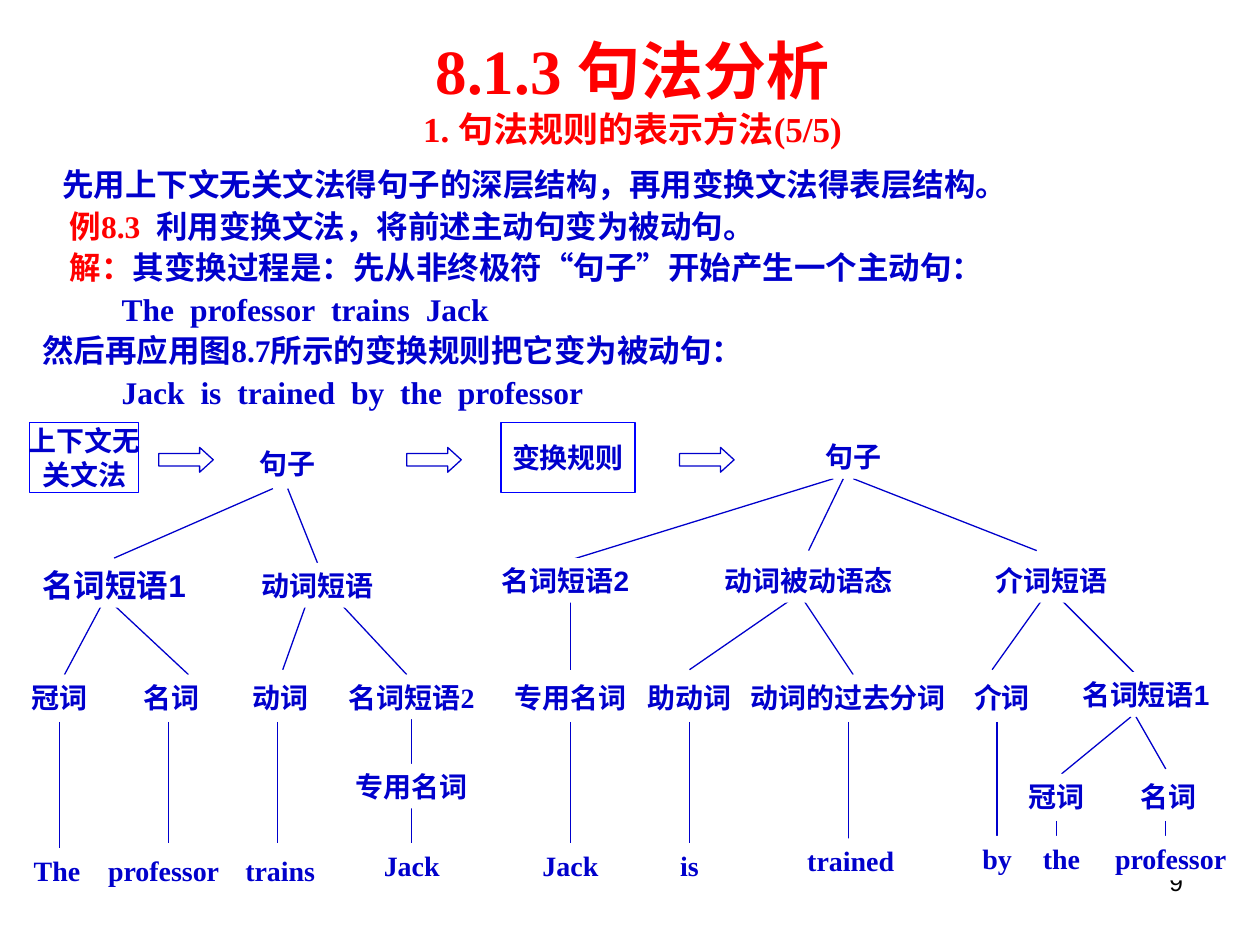
from lxml.etree import SubElement
from pptx import Presentation
from pptx.dml.color import RGBColor
from pptx.enum.shapes import MSO_CONNECTOR, MSO_SHAPE
from pptx.enum.text import MSO_ANCHOR, MSO_AUTO_SIZE, PP_ALIGN
from pptx.oxml.ns import qn
from pptx.util import Inches, Pt

WIDE, HIGH = Inches(10), Inches(7.5)
CELL = WIDE / 254  # the grid has 254 columns of square cells
HUE = {"ink": "0000CC", "red": "FF0000", "edge": "0000FF",
       "white": "FFFFFF", "black": "000000"}
SANS, SERIF = "Arial", "Times New Roman"
TALL = 9  # rows taken by a tree label

# Body lines: indent in columns, then (text, colour) runs
BODY = [
    (4, [("先用上下文无关文法得句子的深层结构，再用变换文法得表层结构。", "ink")]),
    (5.5, [("例8.3", "red"), (" ", "red"),
           ("利用变换文法，将前述主动句变为被动句。", "ink")]),
    (5.5, [("解：", "red"),
           ("其变换过程是：先从非终极符“句子”开始产生一个主动句：", "ink")]),
    (16, "The professor trains Jack"),
    (0, [("然后再应用图8.7所示的变换规则把它变为被动句：", "ink")]),
    (16, "Jack is trained by the professor"),
]

# Labels by row and font: (text, left column, columns wide)
LABELS = [
    (89, SANS, [("句子", 45, 26)]),
    (87.5, SANS, [("句子", 159, 26)]),
    (113.5, SANS, [("名词短语1", 7, 32), ("动词短语", 49, 30)]),
    (112.5, SANS, [("名词短语2", 98, 32), ("动词被动语态", 141, 44),
                   ("介词短语", 194, 36)]),
    (136, SANS, [("冠词", 5, 14), ("名词", 27, 15), ("动词", 49, 15),
                 ("专用名词", 103, 24), ("助动词", 130, 18),
                 ("动词的过去分词", 150, 42), ("介词", 195, 14)]),
    (136, SERIF, [("名词短语2", 67, 32)]),
    (135.5, SANS, [("名词短语1", 216, 30)]),
    (154, SERIF, [("专用名词", 70, 26)]),
    (156, SANS, [("冠词", 206, 14), ("名词", 228, 15)]),
    (171, SERIF, [("The", 5, 13), ("professor", 20, 26), ("trains", 49, 15)]),
    (170, SERIF, [("Jack", 76, 14), ("Jack", 107, 16), ("is", 134, 10)]),
    (169, SERIF, [("trained", 161, 21)]),
    (168.5, SERIF, [("by", 196, 10), ("the", 209, 10), ("professor", 223, 26)]),
]

# Slanted branches: from column and row, to column and row
FORKS = [
    (55, 98.5, 23, 112.5), (58, 98.5, 64, 113.5),
    (168, 96.5, 113, 113.5), (170, 96.5, 163, 111), (172, 96.5, 209, 111),
    (21, 121, 13, 136), (23, 122, 38, 136),
    (62, 121, 57, 135), (68, 121, 82, 136),
    (160, 120.5, 139, 135), (162, 121, 172, 136),
    (210, 121, 200, 135), (214, 121, 229, 136),
    (228, 144.5, 214, 156), (229, 144.5, 235, 155),
]

# Upright branches: first row, last row, columns
STEMS = [
    (120, 135, [115]), (145.5, 172, [12]),
    (145.5, 170, [34, 56, 115, 139, 171, 201]),
    (144.5, 154, [83]), (162.5, 170, [83]), (165.5, 168.5, [213, 235]),
]


def rgb(name):
    return RGBColor.from_string(HUE[name])


def grid(*cells):
    return [round(n * CELL) for n in cells]


def place(shape, *cells):
    shape.left, shape.top, shape.width, shape.height = grid(*cells)


def add_run(para, text, size, hue="ink", face=SERIF, bold=True):
    run = para.add_run()
    run.text = text
    font = run.font
    font.size, font.name, font.bold = Pt(size), face, bold
    font.color.rgb = rgb(hue)
    return run


def add_gap(para, hue="ink"):
    """One space, tracked out to double width."""
    run = add_run(para, " ", 18, hue)
    run.font._element.set("spc", "450")


def next_para(frame, index):
    return frame.add_paragraph() if index else frame.paragraphs[0]


def add_title(slide):
    shape = slide.shapes.title
    place(shape, 6, 5, 243, 26.5)
    frame = shape.text_frame
    frame.auto_size = MSO_AUTO_SIZE.NONE
    frame.vertical_anchor = MSO_ANCHOR.MIDDLE
    rows = [("8.1.3 句法分析", 36), ("1. 句法规则的表示方法(5/5)", 20)]
    for i, (text, size) in enumerate(rows):
        para = next_para(frame, i)
        para.alignment = PP_ALIGN.CENTER
        add_run(para, text, size, "red")


def add_body(slide):
    shape = slide.placeholders[1]
    place(shape, 6, 31.25, 244, 53)
    frame = shape.text_frame
    frame.auto_size = MSO_AUTO_SIZE.NONE
    for i, (indent, runs) in enumerate(BODY):
        para = next_para(frame, i)
        para.line_spacing, para.space_before = 1.1, Pt(0)
        props = para._p.get_or_add_pPr()
        props.set("marL", str(grid(indent)[0]))
        props.set("indent", "0")
        SubElement(props, qn("a:buNone"))
        if isinstance(runs, str):
            words = runs.split()
            runs = [(words[0], "ink")]
            for word in words[1:]:
                runs += [(" ", "ink"), (word, "ink")]
        for text, hue in runs:
            if text == " ":
                add_gap(para, hue)
            else:
                add_run(para, text, 18, hue)


def add_page(slide):
    box = slide.shapes.add_textbox(*grid(182, 173.5, 59, 13))
    box.text_frame.word_wrap = True
    para = box.text_frame.paragraphs[0]
    para.alignment = PP_ALIGN.RIGHT
    add_run(para, "9", 14, "black", SANS, False)


def add_line(slide, *ends):
    line = slide.shapes.add_connector(MSO_CONNECTOR.STRAIGHT, *grid(*ends))
    line.line.color.rgb = rgb("ink")
    line.line.width = Pt(0.75)
    SubElement(line._element.spPr, qn("a:effectLst"))


def add_box(slide, cells, rows=(), face=SERIF, size=16, edge=None,
            fill="white", kind=MSO_SHAPE.RECTANGLE):
    shape = slide.shapes.add_shape(kind, *grid(*cells))
    shape.shadow.inherit = False
    if fill:
        shape.fill.solid()
        shape.fill.fore_color.rgb = rgb(fill)
    else:
        shape.fill.background()
    if edge:
        shape.line.color.rgb = rgb(edge)
        shape.line.width = Pt(0.75)
    else:
        shape.line.fill.background()
    frame = shape.text_frame
    frame.word_wrap = False
    frame.vertical_anchor = MSO_ANCHOR.MIDDLE
    for i, text in enumerate(rows):
        para = next_para(frame, i)
        para.alignment = PP_ALIGN.CENTER
        add_run(para, text, size, face=face)
    return shape


def main():
    deck = Presentation()
    deck.slide_width, deck.slide_height = WIDE, HIGH
    slide = deck.slides.add_slide(deck.slide_layouts[1])
    add_title(slide)
    add_body(slide)
    add_page(slide)

    # Tree branches
    for fork in FORKS:
        add_line(slide, *fork)
    for top, end, cols in STEMS:
        for col in cols:
            add_line(slide, col, top, col, end)

    # Tree labels
    for top, face, row in LABELS:
        for text, left, wide in row:
            size = 18 if (text, left) == ("名词短语1", 7) else 16
            add_box(slide, (left, top, wide, TALL), [text], face, size)

    # Grammar boxes and the arrows between the steps
    for left, wide, rows in [(6, 22, ["上下文无", "关文法"]),
                             (101, 27, ["变换规则"])]:
        add_box(slide, (left, 85.25, wide, 14), rows, edge="edge", fill=None)
    for left in (32, 82, 137):
        arrow = add_box(slide, (left, 90.2, 11, 5), edge="ink",
                        kind=MSO_SHAPE.RIGHT_ARROW)
        arrow.adjustments[1] = 0.55

    deck.save("out.pptx")


if __name__ == "__main__":
    main()
